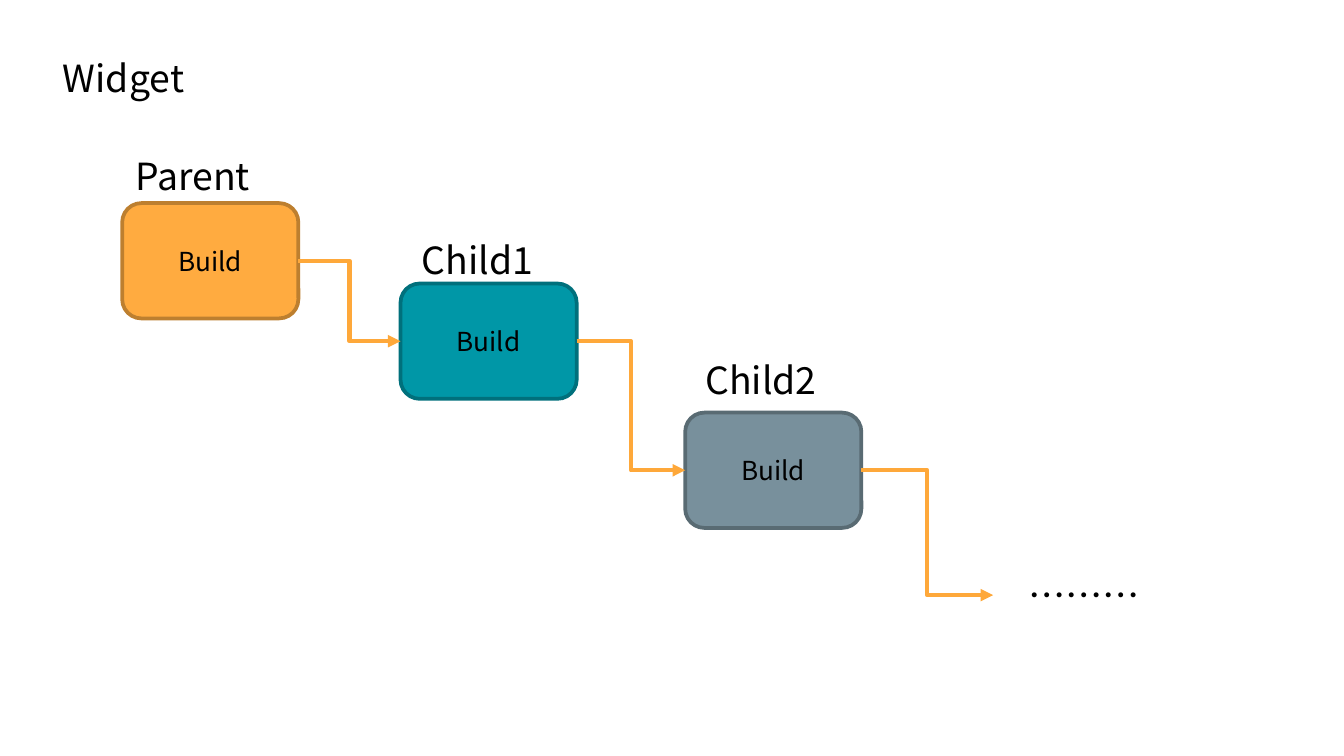
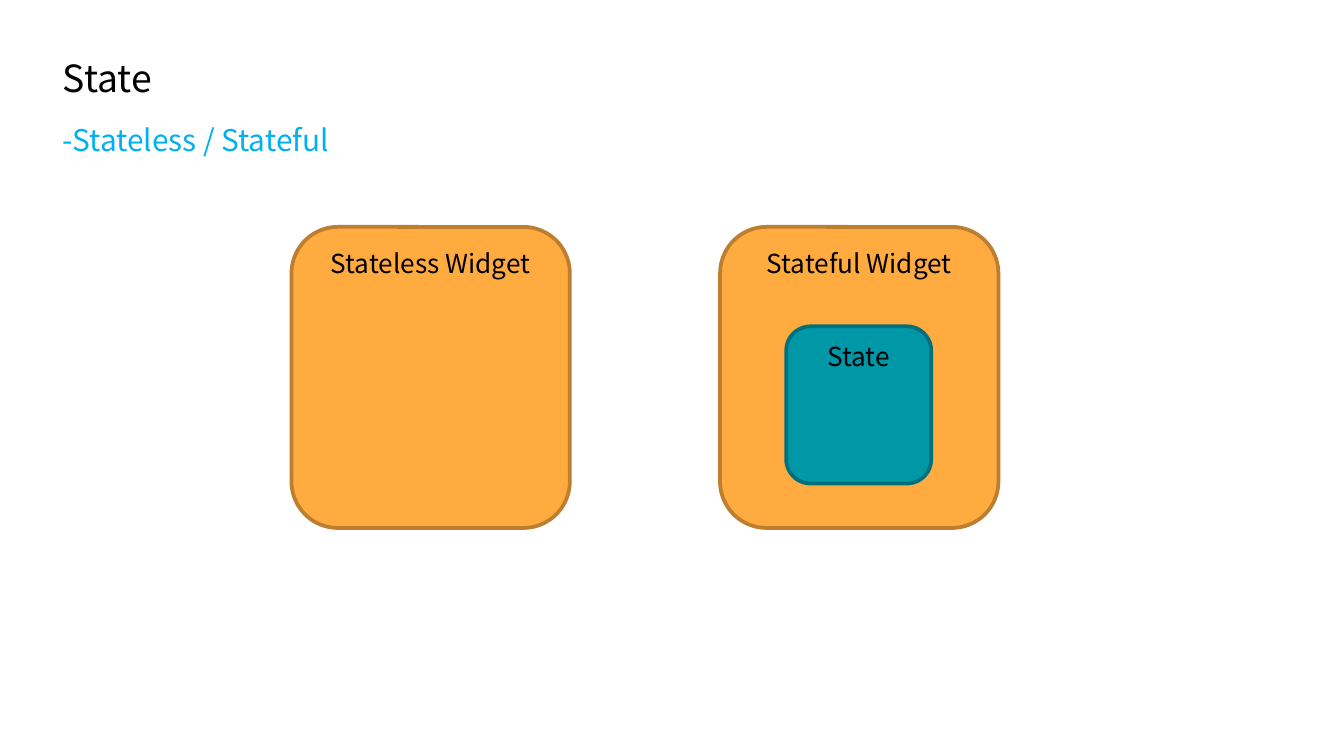
from dataclasses import dataclass
from lxml.etree import SubElement as Sub
from pptx import Presentation as Deck
from pptx.dml.color import RGBColor as Rgb
from pptx.enum.shapes import MSO_CONNECTOR as Link, MSO_SHAPE as Form
from pptx.enum.text import MSO_ANCHOR as Anchor, MSO_AUTO_SIZE as Fit, PP_ALIGN as Align
from pptx.oxml.ns import qn
from pptx.util import Cm, Pt


@dataclass(frozen=True)
class Theme:
    font: str = "Noto Sans CJK KR"
    ink: str = "000000"
    sky: str = "00B0F0"
    arrow: str = "FEA83A"
    amber: tuple = ("FFAB40", "BD7F2F")
    teal: tuple = ("0097A7", "00707C")
    slate: tuple = ("78909C", "596B73")
    head: int = 20
    sub: int = 16
    body: int = 14
    edge: float = 2
    wire: float = 2.25


T = Theme()


def write(frame, text, size=T.head, color=T.ink, align=Align.LEFT, gap=0, more=False):
    para = frame.add_paragraph() if more else frame.paragraphs[0]
    para.alignment = align
    if gap:
        para.space_before = Pt(gap)
    run = para.add_run()
    run.text = text
    font = run.font
    font.size = Pt(size)
    font.color.rgb = Rgb.from_string(color)
    font.name = T.font
    Sub(run._r.get_or_add_rPr(), qn("a:ea"), typeface=T.font)


def label(slide, text, left, top, width, height=1.37):
    box = slide.shapes.add_textbox(Cm(left), Cm(top), Cm(width), Cm(height))
    frame = box.text_frame
    frame.word_wrap = True
    frame.auto_size = Fit.SHAPE_TO_FIT_TEXT
    frame.margin_left = frame.margin_right = Cm(0.25)
    frame.margin_top = frame.margin_bottom = Cm(0.25)
    write(frame, text)
    return frame


def title(slide, text, sub=None):
    frame = label(slide, text, 0.94, 0.79, 22.86, 2.57 if sub else 1.37)
    if sub:
        write(frame, sub, size=T.sub, color=T.sky, gap=12, more=True)


def card(slide, text, left, top, width, height, tone, anchor=Anchor.TOP):
    box = slide.shapes.add_shape(
        Form.ROUNDED_RECTANGLE, Cm(left), Cm(top), Cm(width), Cm(height))
    box.shadow.inherit = False
    fill, edge = tone
    box.fill.solid()
    box.fill.fore_color.rgb = Rgb.from_string(fill)
    box.line.color.rgb = Rgb.from_string(edge)
    box.line.width = Pt(T.edge)
    frame = box.text_frame
    frame.word_wrap = True
    frame.vertical_anchor = anchor
    write(frame, text, size=T.body, align=Align.CENTER)
    return box


def arrow(slide, start, goal=None, end=(0, 0)):
    wire = slide.shapes.add_connector(Link.ELBOW, 0, 0, Cm(end[0]), Cm(end[1]))
    wire.begin_connect(start, 3)
    if goal is not None:
        wire.end_connect(goal, 1)
    wire.line.color.rgb = Rgb.from_string(T.arrow)
    wire.line.width = Pt(T.wire)
    Sub(wire.line._get_or_add_ln(), qn("a:tailEnd"), type="triangle")
    Sub(wire._element.spPr, qn("a:effectLst"))


def widget(slide):
    title(slide, "Widget")
    steps = [
        ("Parent", 2.31, 3.84, T.amber, (2.31, 2.64)),
        ("Child1", 7.57, 5.36, T.teal, (7.72, 4.24)),
        ("Child2", 12.95, 7.8, T.slate, (13.08, 6.5)),
    ]
    cards = []
    for name, left, top, tone, spot in steps:
        cards.append(card(slide, "Build", left, top, 3.33, 2.18, tone, Anchor.MIDDLE))
        label(slide, name, *spot, 3.45)
    for start, goal in zip(cards, cards[1:]):
        arrow(slide, start, goal)
    arrow(slide, cards[-1], end=(18.77, 11.25))
    label(slide, "………", 19.18, 10.57, 3.2)


def state(slide):
    title(slide, "State", "-Stateless / Stateful")
    for name, left in (("Stateless Widget", 5.51), ("Stateful Widget", 13.61)):
        card(slide, name, left, 4.29, 5.26, 5.69, T.amber)
    card(slide, "State", 14.86, 6.17, 2.74, 2.97, T.teal)


def main():
    deck = Deck()
    deck.slide_width, deck.slide_height = Cm(25.4), Cm(14.29)
    for draw in (widget, state):
        draw(deck.slides.add_slide(deck.slide_layouts[6]))
    deck.save("out.pptx")


if __name__ == "__main__":
    main()
